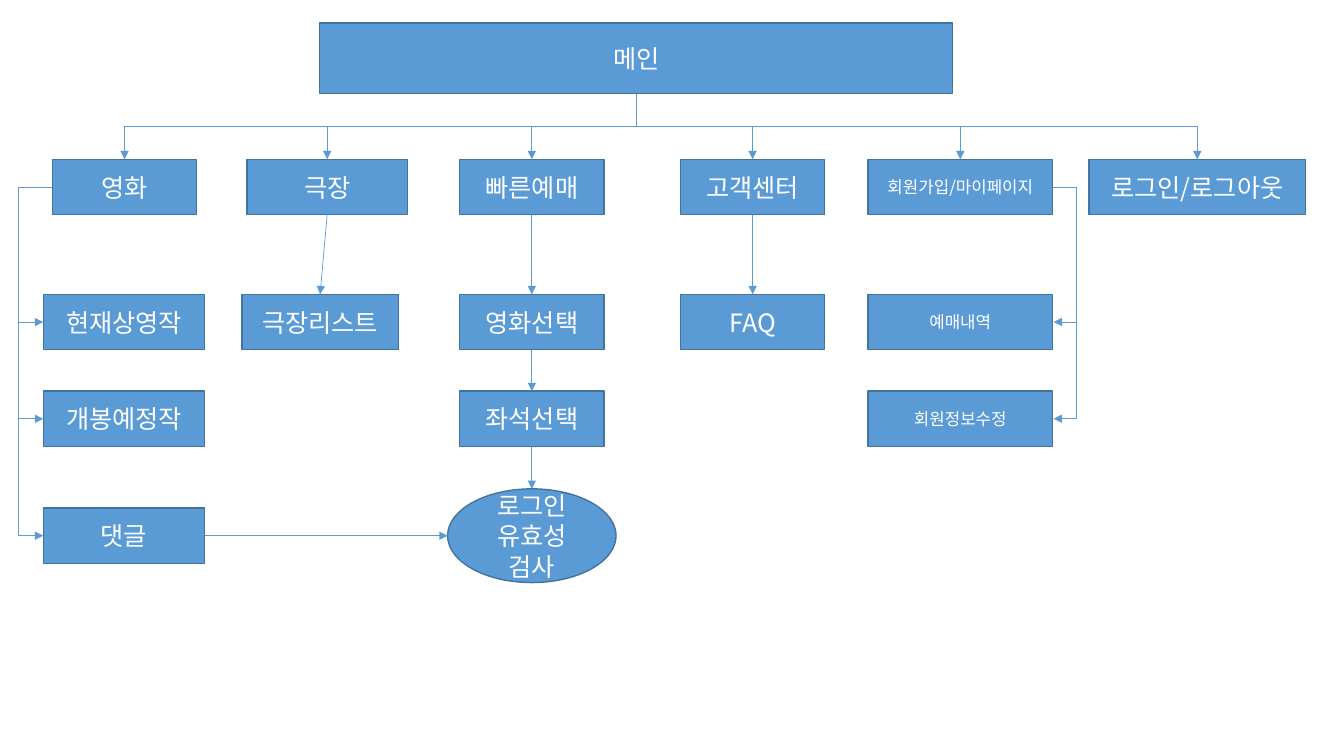
"""Build the site map slide of a cinema booking service."""
from pptx import Presentation, util as u
from pptx.dml.color import RGBColor
from pptx.enum import shapes, text
from pptx.oxml.ns import qn
from lxml import etree

FONT = "Noto Sans CJK KR"
BOX, OVAL = shapes.MSO_SHAPE.RECTANGLE, shapes.MSO_SHAPE.OVAL
STRAIGHT, ELBOW = shapes.MSO_CONNECTOR.STRAIGHT, shapes.MSO_CONNECTOR.ELBOW
TOP, LEFT, BOTTOM, RIGHT, OVAL_LEFT = 0, 1, 2, 3, 2


def rgb(value):
    return RGBColor.from_string(value)


def link(kind, x1, y1, x2, y2, bend=None):
    c = s.shapes.add_connector(kind, *[u.Inches(v) for v in (x1, y1, x2, y2)])
    c.line.color.rgb, c.line.width = rgb("5B9BD5"), u.Pt(0.5)
    etree.SubElement(c.line._get_or_add_ln(), qn("a:tailEnd"), type="triangle")
    pr = c._element.spPr
    etree.SubElement(pr, qn("a:effectLst"))
    if bend is not None:
        guides = pr.find(qn("a:prstGeom")).get_or_add_avLst()
        etree.SubElement(guides, qn("a:gd"), name="adj1", fmla=f"val {round(bend * 100000)}")
    return c


prs = Presentation()
prs.slide_width, prs.slide_height = u.Inches(13.33), u.Inches(7.5)
s = prs.slides.add_slide(prs.slide_layouts[6])

MENU, SUB1, SUB2, SUB3 = 1.58, 2.92, 3.88, 5.04
H = 0.55
nodes = [
    ("메인", 3.17, 0.23, 6.28, 0.7, 18, BOX),
    ("영화", 0.52, MENU, 1.43, H, 18, BOX),
    ("극장", 2.45, MENU, 1.59, H, 18, BOX),
    ("빠른예매", 4.56, MENU, 1.43, H, 18, BOX),
    ("고객센터", 6.75, MENU, 1.43, H, 18, BOX),
    ("회원가입/마이페이지", 8.61, MENU, 1.83, H, 12, BOX),
    ("로그인/로그아웃", 10.8, MENU, 2.15, H, 18, BOX),
    ("현재상영작", 0.43, SUB1, 1.6, H, 18, BOX),
    ("극장리스트", 2.4, SUB1, 1.55, H, 18, BOX),
    ("영화선택", 4.56, SUB1, 1.43, H, 18, BOX),
    ("FAQ", 6.75, SUB1, 1.43, H, 18, BOX),
    ("예매내역", 8.61, SUB1, 1.83, H, 12, BOX),
    ("개봉예정작", 0.43, SUB2, 1.6, H, 18, BOX),
    ("좌석선택", 4.56, SUB2, 1.43, H, 18, BOX),
    ("회원정보수정", 8.61, SUB2, 1.83, H, 12, BOX),
    ("로그인 유효성 검사", 4.44, 4.85, 1.67, 0.93, 18, OVAL),
    ("댓글", 0.43, SUB3, 1.6, H, 18, BOX),
]
made = {}
for label, x, y, w, h, size, shape in nodes:
    sp = s.shapes.add_shape(shape, *[u.Inches(v) for v in (x, y, w, h)])
    sp.shadow.inherit = False
    sp.fill.solid()
    sp.fill.fore_color.rgb = rgb("5B9BD5")
    sp.line.color.rgb, sp.line.width = rgb("43739E"), u.Pt(1)
    tf = sp.text_frame
    tf.word_wrap, tf.vertical_anchor = True, text.MSO_ANCHOR.MIDDLE
    p = tf.paragraphs[0]
    p.alignment = text.PP_ALIGN.CENTER
    r = p.add_run()
    r.text = label
    for name, value in {"name": FONT, "size": u.Pt(size)}.items():
        setattr(r.font, name, value)
    r.font.color.rgb = rgb("FFFFFF")
    etree.SubElement(r._r.get_or_add_rPr(), qn("a:ea"), typeface=FONT)
    made[label] = sp

main_x, main_y = 6.31, 0.93
drop = MENU - main_y
for label, x, y, w, *_ in nodes[1:7]:
    dx = x + w / 2 - main_x
    mid_x, mid_y = main_x + dx / 2, main_y + drop / 2
    half = drop / 2 if dx < 0 else -drop / 2
    c = link(ELBOW, mid_x - half, mid_y - abs(dx) / 2, mid_x + half, mid_y + abs(dx) / 2, 0.5)
    c._element.spPr.find(qn("a:xfrm")).set("rot", str((90 if dx < 0 else 270) * 60000))

for x1, x2, rail, rows in [
    (0.52, 0.43, 0.18, (SUB1, SUB2, SUB3)),
    (10.44, 10.45, 10.68, (SUB1, SUB2)),
]:
    for row in rows:
        link(ELBOW, x1, MENU + H / 2, x2, row + H / 2, (rail - x1) / (x2 - x1))

for start, end, out, into in [
    ("극장", "극장리스트", BOTTOM, TOP),
    ("빠른예매", "영화선택", BOTTOM, TOP),
    ("영화선택", "좌석선택", BOTTOM, TOP),
    ("좌석선택", "로그인 유효성 검사", BOTTOM, TOP),
    ("고객센터", "FAQ", BOTTOM, TOP),
    ("댓글", "로그인 유효성 검사", RIGHT, OVAL_LEFT),
]:
    a, b = made[start], made[end]
    if out == BOTTOM:
        ends = a.left + a.width / 2, a.top + a.height, b.left + b.width / 2, b.top
    else:
        ends = a.left + a.width, a.top + a.height / 2, b.left, b.top + b.height / 2
    c = link(STRAIGHT, *[v / u.Inches(1) for v in ends])
    for tag, sp, site in (("stCxn", a, out), ("endCxn", b, into)):
        props = c._element.nvCxnSpPr.cNvCxnSpPr
        etree.SubElement(props, qn(f"a:{tag}"), id=str(sp.shape_id), idx=str(site))

prs.save("out.pptx")
